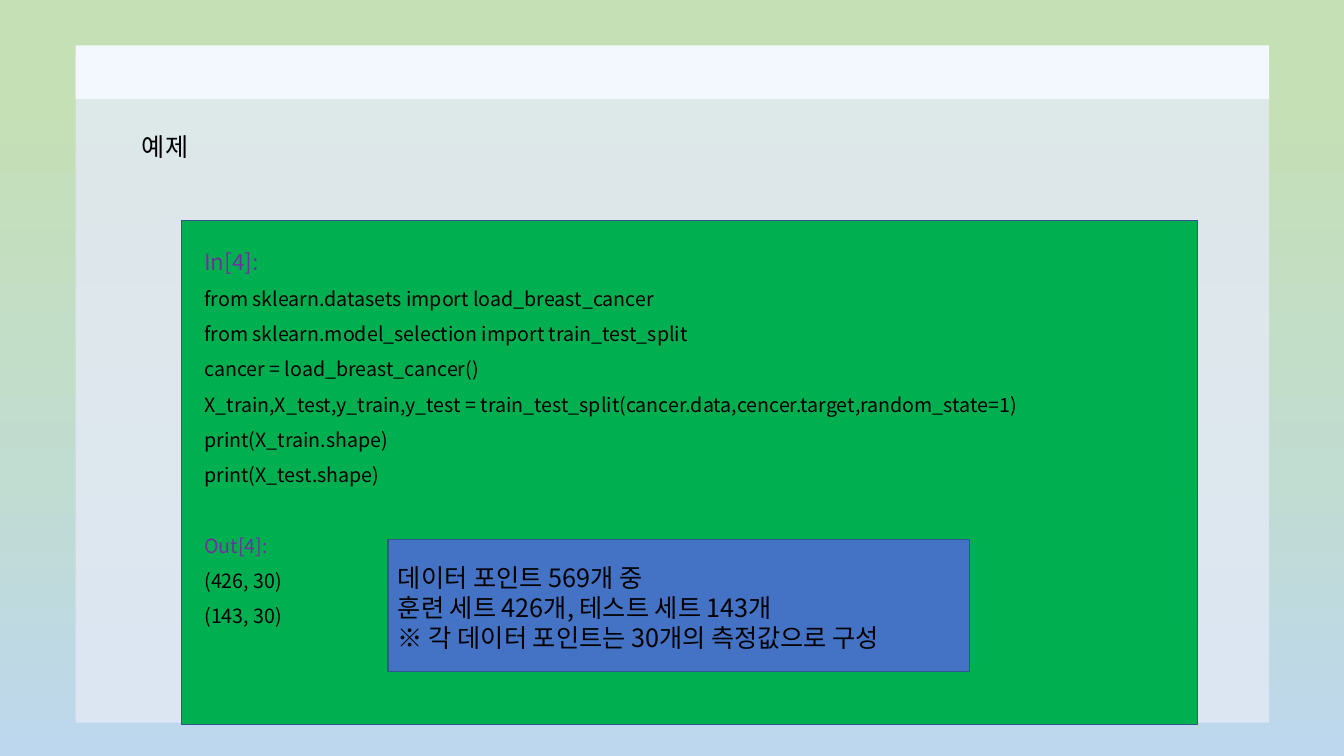
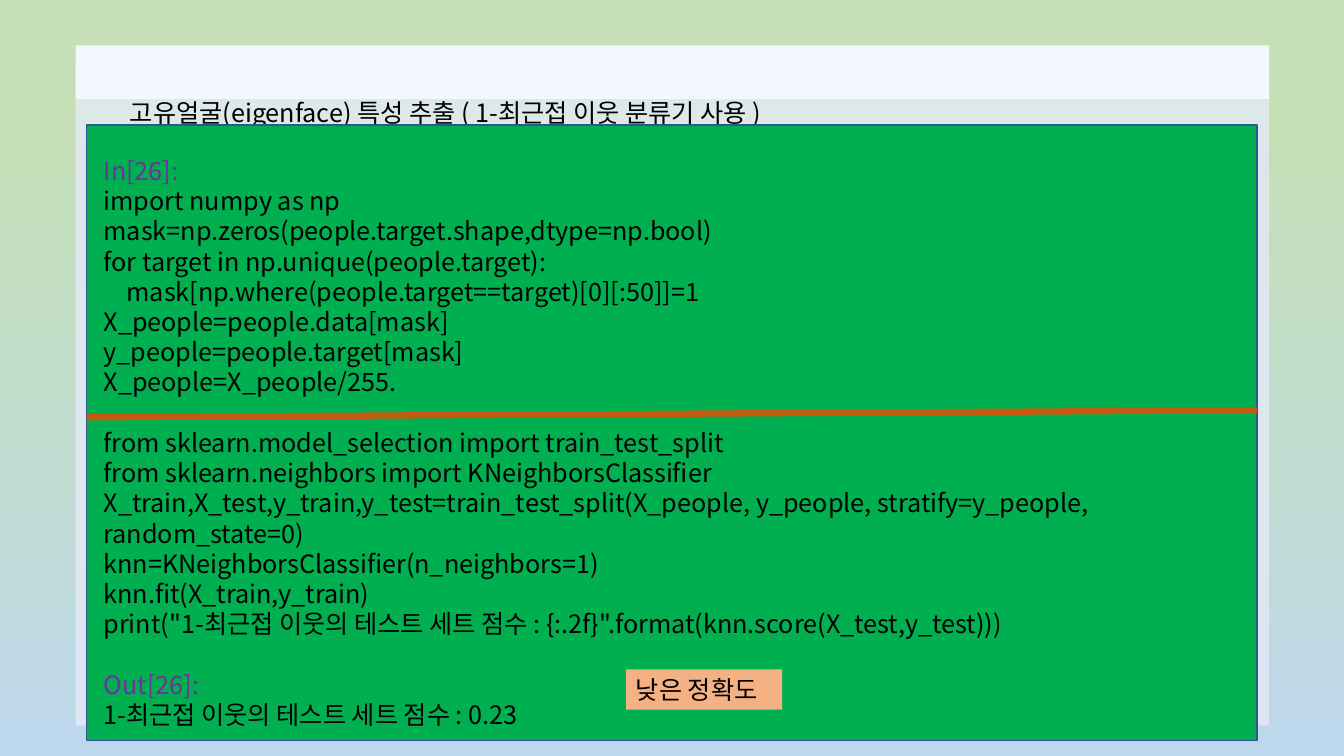
from copy import deepcopy
from dataclasses import dataclass
from lxml import etree
from pptx import Presentation
from pptx import util as u
from pptx.dml import color as dml
from pptx.enum import shapes, text
from pptx.oxml import ns


class Theme:
    font = "Noto Sans CJK KR"
    ink, prompt = "000000", "7030A0"
    frame, band = "E4EAF6", "F3F8FE"
    code, note, label = "00B050", "4472C4", "F4B183"
    outline, divider = "325491", "C55A11"
    sky = [(0.12, "C5E0B4"), (0.63, "C1DCD1"), (1, "BDD7EE")]
    title_size, prompt_size, code_size = 18, 16, 14
    loose = 1.5
    blank_line = 1.2


@dataclass
class Box:
    left: float
    top: float
    width: float
    height: float

    def share(self, left, top, width, height):
        return Box(self.left + self.width * left / 100, self.top + self.height * top / 100,
                   self.width * width / 100, self.height * height / 100)

    def place(self):
        return [u.Emu(round(side)) for side in (self.left, self.top, self.width, self.height)]


SLIDE = Box(0, 0, u.Inches(13.333), u.Inches(7.5))


def rgb(value):
    return dml.RGBColor.from_string(value)


def apply(target, values):
    for name, value in values.items():
        setattr(target, name, value)


def add_block(page, box, fill, outline=None, alpha=None):
    block = page.shapes.add_shape(shapes.MSO_SHAPE.RECTANGLE, *box.place())
    block.shadow.inherit = False
    block.fill.solid()
    block.fill.fore_color.rgb = rgb(fill)
    if alpha:
        tint = block._element.spPr.find(".//" + ns.qn("a:srgbClr"))
        etree.SubElement(tint, ns.qn("a:alpha")).set("val", str(alpha * 1000))
    if outline:
        block.line.color.rgb = rgb(outline)
        block.line.width = u.Pt(1)
    else:
        block.line.fill.background()
    return block


def write(shape, lines):
    frame = shape.text_frame
    apply(frame, {"word_wrap": True, "vertical_anchor": text.MSO_ANCHOR.TOP})
    for index, line in enumerate(lines):
        para = frame.paragraphs[0] if index == 0 else frame.add_paragraph()
        size = line.get("size", Theme.title_size)
        apply(para, {"alignment": text.PP_ALIGN.LEFT, "line_spacing": line.get("spacing", 1.0),
                     "space_before": u.Pt(line.get("before", 0))})
        if "indent" in line:
            para._p.get_or_add_pPr().set("marL", str(u.Pt(line["indent"])))
        span = para.add_run()
        span.text = line["text"]
        apply(span.font, {"name": Theme.font, "size": u.Pt(size)})
        span.font.color.rgb = rgb(line.get("color", Theme.ink))
        east = etree.SubElement(span._r.get_or_add_rPr(), ns.qn("a:ea"))
        east.set("typeface", Theme.font)


def add_text(page, box, lines):
    write(page.shapes.add_textbox(*box.place()), lines)


def code_lines(rows, size, spacing, prompt):
    lines = []
    gap = 0
    for row in rows:
        if not row:
            gap = round(size * spacing * Theme.blank_line, 1)
            continue
        line = {"text": row.lstrip(), "size": size, "spacing": spacing, "before": gap}
        if row.startswith(("In[", "Out[")):
            line["color"] = Theme.prompt
        if row.startswith(" "):
            line["indent"] = 16.4
        lines.append(line)
        gap = 0
    lines[0].update(prompt)
    return lines


def paint_background(master):
    fill = master.background.fill
    fill.gradient()
    fill.gradient_angle = 270
    stops = master.element.find(".//" + ns.qn("a:gsLst"))
    stops.append(deepcopy(stops[-1]))
    for stop, (position, tone) in zip(fill.gradient_stops, Theme.sky):
        stop.position = position
        stop.color.rgb = rgb(tone)


def add_page(deck, title, frame_box, title_box):
    page = deck.slides.add_slide(deck.slide_layouts[6])
    add_block(page, frame_box, Theme.frame, alpha=80)
    add_block(page, SLIDE.share(5.63, 6, 88.8, 7.07), Theme.band)
    add_text(page, title_box, [{"text": title, "spacing": Theme.loose}])
    return page


def add_code_panel(page, box, text_box, lines):
    add_block(page, box, Theme.code, Theme.outline)
    add_text(page, text_box, lines)


def add_note(page, box, rows):
    add_block(page, box, Theme.note, Theme.outline)
    add_text(page, box.share(0, 13.7, 103.8, 100), [{"text": row} for row in rows])


def add_divider(page, box):
    left, top, width, height = box.place()
    rule = page.shapes.add_connector(shapes.MSO_CONNECTOR.STRAIGHT,
                                     left, top + height, left + width, top)
    rule.line.color.rgb = rgb(Theme.divider)
    rule.line.width = u.Pt(4.5)
    etree.SubElement(rule._element.spPr, ns.qn("a:effectLst"))


def build_split_example(deck):
    page = add_page(deck, "예제", SLIDE.share(5.63, 7.6, 88.8, 88),
                    SLIDE.share(9.83, 14.67, 87.08, 6.4))
    panel = SLIDE.share(13.5, 29.2, 75.6, 66.67)
    rows = [
        "In[4]:",
        "from sklearn.datasets import load_breast_cancer",
        "from sklearn.model_selection import train_test_split",
        "cancer = load_breast_cancer()",
        "X_train,X_test,y_train,y_test = train_test_split(cancer.data,cencer.target,random_state=1)",
        "print(X_train.shape)",
        "print(X_test.shape)",
        "",
        "Out[4]:",
        "(426, 30)",
        "(143, 30)",
    ]
    lines = code_lines(rows, Theme.code_size, Theme.loose, {"size": Theme.prompt_size})
    add_code_panel(page, panel, panel.share(1.29, 1.8, 107.7, 67.2), lines)
    add_note(page, panel.share(20.34, 63.2, 57.24, 26.2), [
        "데이터 포인트 569개 중",
        "훈련 세트 426개, 테스트 세트 143개",
        "※ 각 데이터 포인트는 30개의 측정값으로 구성",
    ])


def build_neighbor_example(deck):
    page = add_page(deck, "고유얼굴(eigenface) 특성 추출 ( 1-최근접 이웃 분류기 사용 )",
                    SLIDE.share(5.63, 8, 88.8, 88), SLIDE.share(8.93, 10.27, 87.08, 6.4))
    panel = SLIDE.share(6.45, 16.53, 87.08, 81.47)
    rows = [
        "In[26]:",
        "import numpy as np",
        "mask=np.zeros(people.target.shape,dtype=np.bool)",
        "for target in np.unique(people.target):",
        "    mask[np.where(people.target==target)[0][:50]]=1",
        "X_people=people.data[mask]",
        "y_people=people.target[mask]",
        "X_people=X_people/255.",
        "",
        "from sklearn.model_selection import train_test_split",
        "from sklearn.neighbors import KNeighborsClassifier",
        "X_train,X_test,y_train,y_test=train_test_split(X_people, y_people, "
        "stratify=y_people, random_state=0)",
        "knn=KNeighborsClassifier(n_neighbors=1)",
        "knn.fit(X_train,y_train)",
        'print("1-최근접 이웃의 테스트 세트 점수 : {:.2f}".format(knn.score(X_test,y_test)))',
        "",
        "Out[26]:",
        "1-최근접 이웃의 테스트 세트 점수 : 0.23",
    ]
    lines = code_lines(rows, Theme.title_size, 1.0, {"spacing": Theme.loose})
    add_code_panel(page, panel, panel.share(0.6, 1.64, 98.36, 108.18), lines)
    label = add_block(page, panel.share(46.08, 88.38, 13.35, 6.55), Theme.label)
    write(label, [{"text": "낮은 정확도"}])
    add_divider(page, panel.share(0, 46.32, 100, 1.15))


def main():
    deck = Presentation()
    apply(deck, {"slide_width": SLIDE.width, "slide_height": SLIDE.height})
    paint_background(deck.slide_master)
    build_split_example(deck)
    build_neighbor_example(deck)
    deck.save("out.pptx")


if __name__ == "__main__":
    main()
